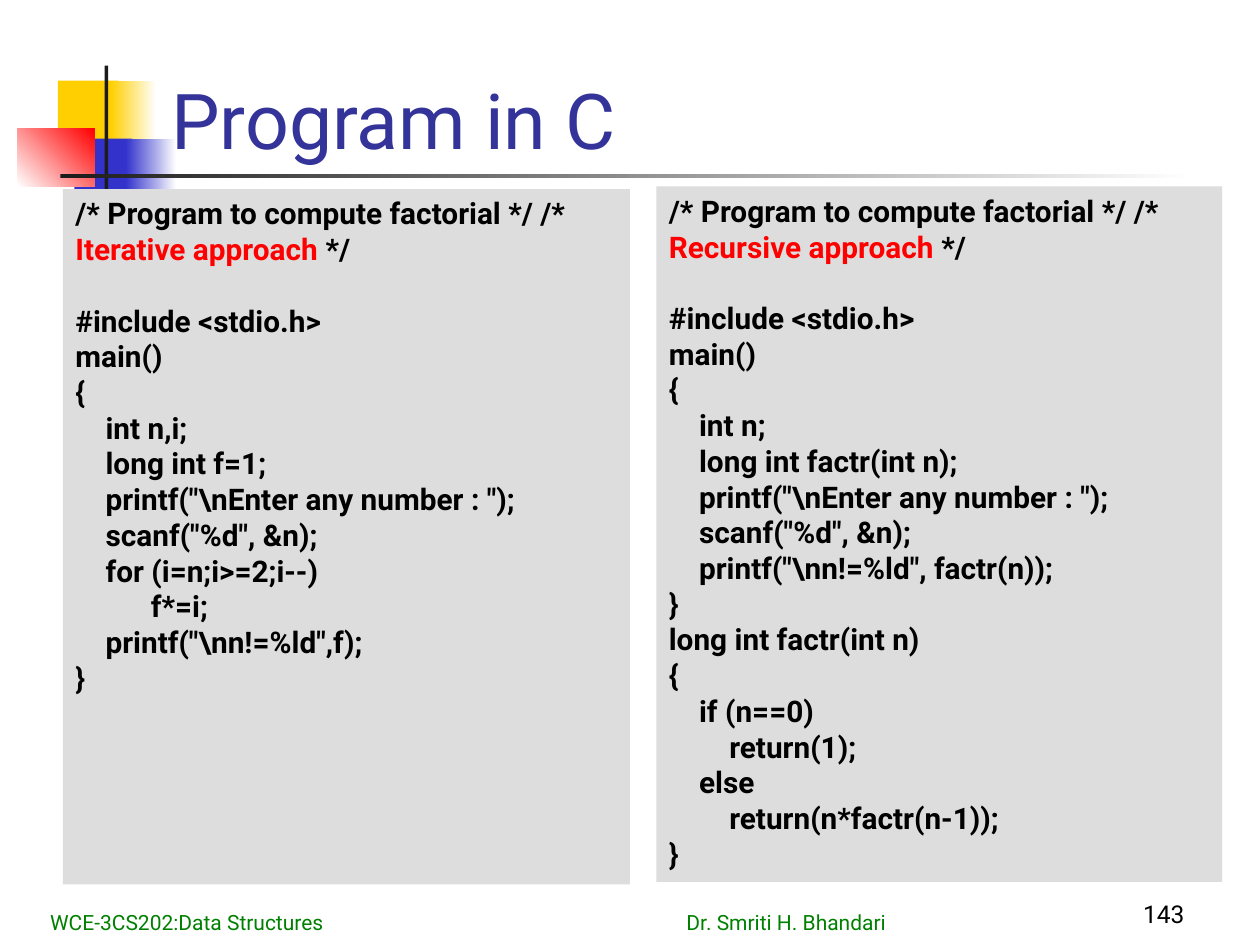
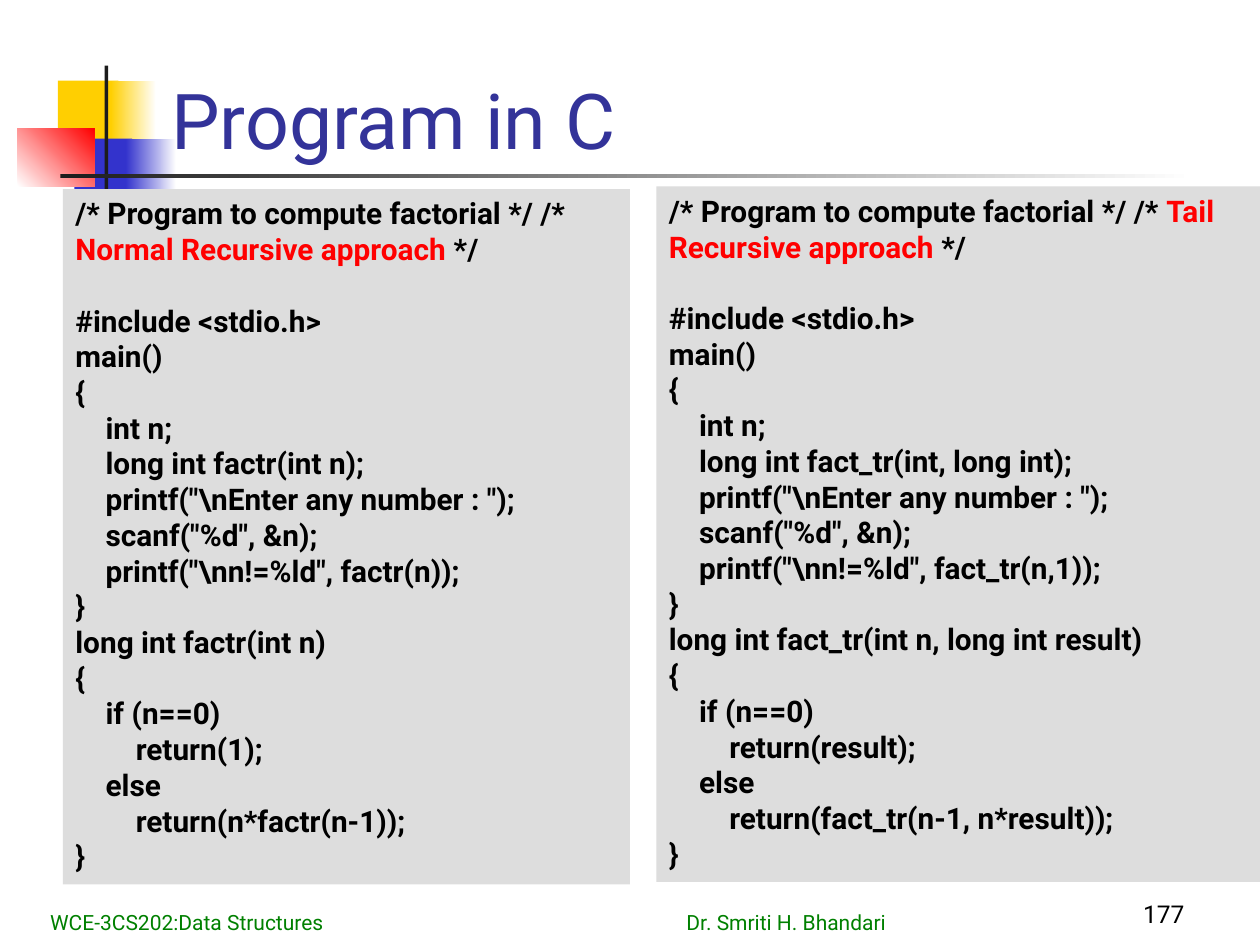
"""Build two slides that compare factorial programs written in C."""
from lxml import etree
from pptx import Presentation
from pptx.dml.color import RGBColor
from pptx.enum.shapes import MSO_SHAPE, PP_PLACEHOLDER
from pptx.enum.text import MSO_ANCHOR, MSO_AUTO_SIZE, PP_ALIGN
from pptx.oxml.ns import qn
from pptx.util import Inches, Pt

RECTANGLE = MSO_SHAPE.RECTANGLE
TITLE = PP_PLACEHOLDER.TITLE
TOP, BOTTOM = MSO_ANCHOR.TOP, MSO_ANCHOR.BOTTOM
LEFT, RIGHT = PP_ALIGN.LEFT, PP_ALIGN.RIGHT
NO_AUTOFIT = MSO_AUTO_SIZE.NONE

FONT = "Roboto"
COLORS = {
    "yellow": "FFCF01",
    "blue": "3333CC",
    "red": "FF0000",
    "dark": "1C1C1C",
    "white": "FFFFFF",
    "title": "333399",
    "panel": "DDDDDD",
    "code": "000000",
    "footer": "008000",
}
CODE_SIZE = 17
CODE_LINE = 20.4
INDENT = 0.24
AUTHOR_TAB = 5.05

MOTIF = [
    ((0.46, 0.64, 0.48, 0.52), ["yellow"], 0),
    ((0.88, 0.64, 0.36, 0.52), ["yellow", "white"], 0),
    ((0.59, 1.1, 0.46, 0.52), ["blue"], 0),
    ((1, 1.1, 0.4, 0.52), ["blue", "white"], 0),
    ((0.14, 1.02, 0.61, 0.46), ["white", "red"], 45),
    ((0.83, 0.52, 0.03, 1.15), ["dark"], 0),
    ((0.48, 1.38, 9, 0.03), ["dark", "white"], 0),
]

OPENING = [(0, "#include <stdio.h>"), (0, "main()"), (0, "{")]
INPUT = [(1, r'printf("\nEnter any number : ");'), (1, 'scanf("%d", &n);')]
CLOSING = [(0, "}")]

ITERATIVE = [
    *OPENING,
    (1, "int n,i;"),
    (1, "long int f=1;"),
    *INPUT,
    (1, "for (i=n;i>=2;i--)"),
    (2.5, "f*=i;"),
    (1, r'printf("\nn!=%ld",f);'),
    *CLOSING,
]


def recursive_program(prototype, call, signature, base, step):
    """Return the indented lines of a program with a recursive function."""
    return [
        *OPENING,
        (1, "int n;"),
        (1, f"long int {prototype};"),
        *INPUT,
        (1, rf'printf("\nn!=%ld", {call});'),
        *CLOSING,
        (0, f"long int {signature}"),
        (0, "{"),
        (1, "if (n==0)"),
        (2, f"return({base});"),
        (1, "else"),
        (2, f"return({step});"),
        *CLOSING,
    ]


RECURSIVE = recursive_program(
    "factr(int n)", "factr(n)", "factr(int n)", "1", "n*factr(n-1)")
TAIL_RECURSIVE = recursive_program(
    "fact_tr(int, long int)", "fact_tr(n,1)",
    "fact_tr(int n, long int result)", "result", "fact_tr(n-1, n*result)")


def rgb(name):
    """Return the named colour."""
    return RGBColor.from_string(COLORS[name])


def place(shape, box):
    """Move and size a shape to a box given in inches."""
    shape.left, shape.top, shape.width, shape.height = map(Inches, box)


def write(paragraph, text, size=CODE_SIZE, color="code", bold=False, align=LEFT):
    """Add a formatted run to a paragraph."""
    paragraph.alignment = align
    run = paragraph.add_run()
    run.text = text
    run.font.name = FONT
    run.font.size = Pt(size)
    run.font.bold = bold
    run.font.color.rgb = rgb(color)


def prepare_frame(shape, anchor):
    """Set wrapping and anchoring, and return the text frame."""
    frame = shape.text_frame
    frame.word_wrap = True
    frame.auto_size = NO_AUTOFIT
    frame.vertical_anchor = anchor
    return frame


def add_rectangle(slide, box, colors, angle=0):
    """Add a borderless rectangle with a solid or two-colour gradient fill."""
    shape = slide.shapes.add_shape(RECTANGLE, *map(Inches, box))
    shape.shadow.inherit = False
    shape.line.fill.background()
    if len(colors) == 1:
        shape.fill.solid()
        shape.fill.fore_color.rgb = rgb(colors[0])
    else:
        shape.fill.gradient()
        shape.fill.gradient_angle = angle
        for stop, color in zip(shape.fill.gradient_stops, colors):
            stop.color.rgb = rgb(color)
    return shape


def add_motif_to_layout(slide):
    """Give the slide's layout the coloured squares and rules."""
    layout = slide.slide_layout
    for placeholder in list(layout.placeholders):
        if placeholder.placeholder_format.type != TITLE:
            layout.shapes.element.remove(placeholder.element)
    shapes = [add_rectangle(slide, *part) for part in MOTIF]
    for shape in shapes:
        layout.shapes.element.append(shape.element)


def set_title(slide, text):
    """Move, format and fill the title placeholder."""
    title = slide.shapes.title
    place(title, (1.26, 0.11, 8.52, 1.25))
    frame = prepare_frame(title, BOTTOM)
    write(frame.paragraphs[0], text, size=44, color="title")


def add_code_panel(slide, box, approach, lines):
    """Add a grey panel with a comment heading and a program."""
    frame = prepare_frame(add_rectangle(slide, box, ["panel"]), TOP)
    heading = frame.paragraphs[0]
    heading.space_after = Pt(CODE_LINE)
    write(heading, "/* Program to compute factorial */ /* ", bold=True)
    write(heading, approach, color="red", bold=True)
    write(heading, " */", bold=True)
    for level, line in lines:
        paragraph = frame.add_paragraph()
        write(paragraph, line, bold=True)
        properties = paragraph._p.get_or_add_pPr()
        properties.set("marL", str(Inches(level * INDENT)))


def add_text(slide, box, text, **text_format):
    """Add a bottom-anchored text box and return its paragraph."""
    shape = slide.shapes.add_textbox(*map(Inches, box))
    paragraph = prepare_frame(shape, BOTTOM).paragraphs[0]
    write(paragraph, text, **text_format)
    return paragraph


def add_footer(slide, number):
    """Add the course, the author and the slide number."""
    paragraph = add_text(
        slide, (0.3, 7.12, 7.93, 0.35),
        "WCE-3CS202:Data Structures\tDr. Smriti H. Bhandari",
        size=12, color="footer")
    tabs = etree.SubElement(paragraph._p.get_or_add_pPr(), qn("a:tabLst"))
    etree.SubElement(tabs, qn("a:tab"), pos=str(Inches(AUTHOR_TAB)), algn="l")
    add_text(slide, (7.42, 6.92, 2.08, 0.5), str(number), size=14, align=RIGHT)


def add_comparison(presentation, number, left, right, right_width):
    """Add a slide with two programs side by side."""
    slide = presentation.slides.add_slide(presentation.slide_layouts[5])
    set_title(slide, "Program in C")
    add_code_panel(slide, (0.5, 1.5, 4.5, 5.52), *left)
    add_code_panel(slide, (5.21, 1.48, right_width, 5.52), *right)
    add_footer(slide, number)
    return slide


def main():
    """Build and save the presentation."""
    presentation = Presentation()
    presentation.slide_width = Inches(10)
    presentation.slide_height = Inches(7.5)
    first = add_comparison(
        presentation, 143,
        ("Iterative approach", ITERATIVE),
        ("Recursive approach", RECURSIVE), 4.49)
    add_motif_to_layout(first)
    add_comparison(
        presentation, 177,
        ("Normal Recursive approach", RECURSIVE),
        ("Tail Recursive approach", TAIL_RECURSIVE), 4.79)
    presentation.save("out.pptx")


if __name__ == "__main__":
    main()
